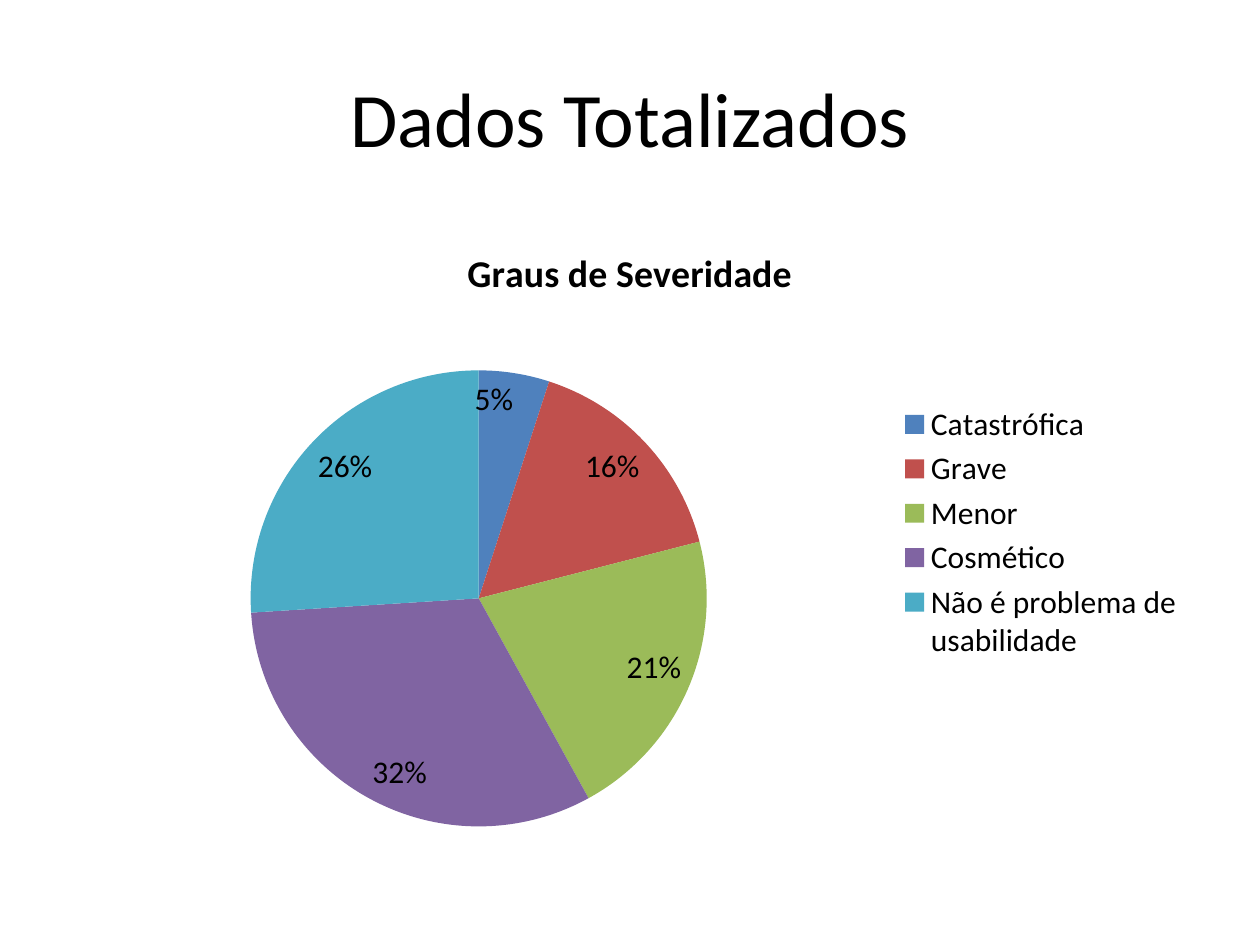
from lxml import etree
from pptx import Presentation
from pptx.chart.data import CategoryChartData
from pptx.dml.color import RGBColor
from pptx.enum.chart import XL_CHART_TYPE, XL_LABEL_POSITION, XL_LEGEND_POSITION
from pptx.enum.text import MSO_ANCHOR, PP_ALIGN
from pptx.oxml.ns import qn
from pptx.util import Inches, Pt

TITLE = "Dados Totalizados"
CHART_TITLE = "Graus de Severidade"
SEVERITIES = [  # category, percent, colour
    ("Catastrófica", 5, "4F81BD"),
    ("Grave", 16, "C0504D"),
    ("Menor", 21, "9BBB59"),
    ("Cosmético", 32, "8064A2"),
    ("Não é problema de usabilidade", 26, "4BACC6"),
]
FONT = "Calibri"
LEFT, WIDTH = 0.5, 9
CHART_TOP, CHART_HEIGHT = 1.75, 4.95
PIE_LEFT, PIE_TOP, PIE_SIZE = 1.99, 2.94, 3.62


def set_font(font, size, bold=False):
    font.name, font.size, font.bold = FONT, Pt(size), bold
    font.color.rgb = RGBColor.from_string("000000")


def add_title(slide):
    box = slide.shapes.add_textbox(Inches(LEFT), Inches(0.3), Inches(WIDTH), Inches(1.25))
    tf = box.text_frame
    tf.word_wrap = True
    tf.vertical_anchor = MSO_ANCHOR.MIDDLE
    p = tf.paragraphs[0]
    p.text = TITLE
    p.alignment = PP_ALIGN.CENTER
    set_font(p.font, 44)


def place_pie(chart):
    """Fix the pie's square inside the chart frame."""
    area = chart.plots[0]._element.getparent()
    for old in area.findall(qn("c:layout")):
        area.remove(old)
    layout = etree.Element(qn("c:layout"))
    area.insert(0, layout)
    manual = etree.SubElement(layout, qn("c:manualLayout"))
    settings = {
        "layoutTarget": "inner", "xMode": "edge", "yMode": "edge",
        "x": (PIE_LEFT - LEFT) / WIDTH,
        "y": (PIE_TOP - CHART_TOP) / CHART_HEIGHT,
        "w": PIE_SIZE / WIDTH,
        "h": PIE_SIZE / CHART_HEIGHT,
    }
    for tag, value in settings.items():
        etree.SubElement(manual, qn(f"c:{tag}")).set("val", str(value))


def add_severity_chart(slide):
    data = CategoryChartData()
    data.categories = [name for name, _, _ in SEVERITIES]
    data.add_series(CHART_TITLE, [value for _, value, _ in SEVERITIES])
    chart = slide.shapes.add_chart(
        XL_CHART_TYPE.PIE, Inches(LEFT), Inches(CHART_TOP),
        Inches(WIDTH), Inches(CHART_HEIGHT), data).chart
    set_font(chart.font, 18)

    chart.has_title = True
    p = chart.chart_title.text_frame.paragraphs[0]
    p.text = CHART_TITLE
    set_font(p.font, 21.6, bold=True)

    chart.has_legend = True
    chart.legend.position = XL_LEGEND_POSITION.RIGHT
    chart.legend.include_in_layout = False

    plot = chart.plots[0]
    plot.vary_by_categories = True
    for i, (_, _, color) in enumerate(SEVERITIES):
        fill = plot.series[0].points[i].format.fill
        fill.solid()
        fill.fore_color.rgb = RGBColor.from_string(color)

    labels = plot.series[0].data_labels
    labels.show_percentage = True
    labels.show_value = False
    labels.number_format, labels.number_format_is_linked = "0%", False
    labels.position = XL_LABEL_POSITION.INSIDE_END
    set_font(labels.font, 18)
    place_pie(chart)


def main():
    prs = Presentation()
    prs.slide_width, prs.slide_height = Inches(10), Inches(7.5)
    s = prs.slides.add_slide(prs.slide_layouts[6])
    add_title(s)
    add_severity_chart(s)
    prs.save("out.pptx")


if __name__ == "__main__":
    main()
